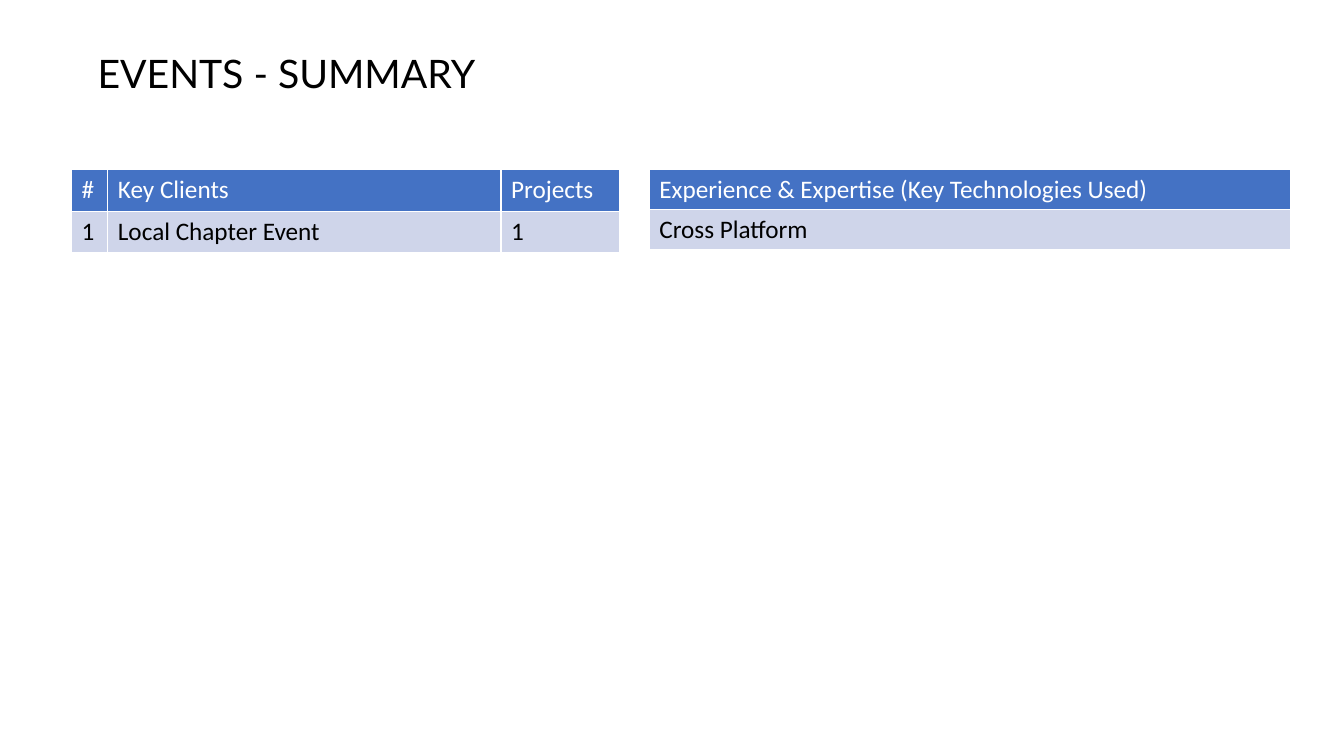
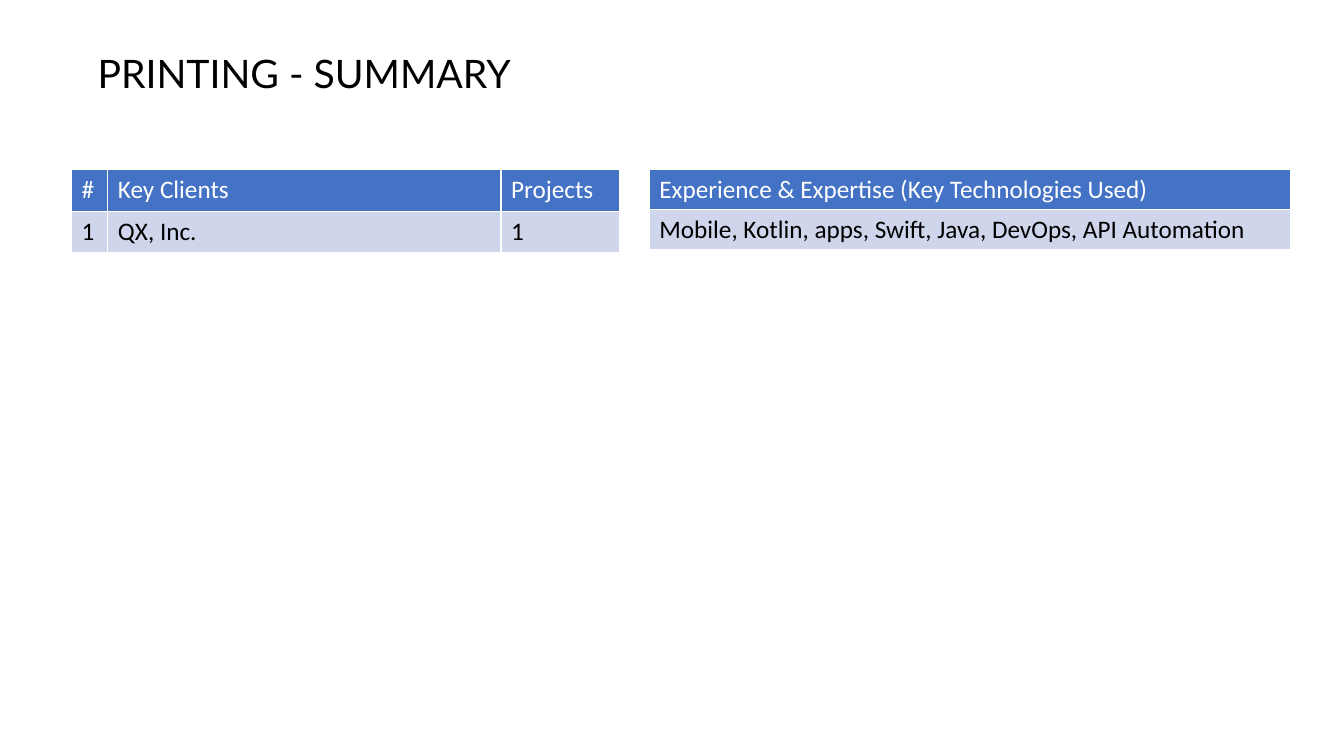
"""Build two summary slides, each with a client table and an expertise table."""
from lxml.etree import SubElement
from pptx import Presentation
from pptx.dml.color import RGBColor
from pptx.enum.text import MSO_ANCHOR
from pptx.oxml.ns import qn
from pptx.util import Inches, Pt

COLORS = {"header": "4472C4", "body": "CFD5EA", "white": "FFFFFF", "black": "000000"}
CLIENT_HEAD = ["#", "Key Clients", "Projects"]
EXPERTISE_HEAD = ["Experience & Expertise (Key Technologies Used)"]
SLIDES = [
    ("EVENTS - SUMMARY", ["1", "Local Chapter Event", "1"], ["Cross Platform"]),
    ("PRINTING - SUMMARY", ["1", "QX, Inc.", "1"],
     ["Mobile, Kotlin, apps, Swift, Java, DevOps, API Automation"]),
]


def add_run(p, text, font, size, color):
    r = p.add_run()
    r.text = text
    r.font.name = font
    r.font.size = Pt(size)
    r.font.bold = False
    r.font.color.rgb = RGBColor.from_string(COLORS[color])


def add_grid(s, left, widths, heights, rows):
    table = s.shapes.add_table(len(rows), len(widths), Inches(left), Inches(1.68),
                               Inches(sum(widths)), Inches(sum(heights))).table
    for col, width in zip(table.columns, widths):
        col.width = Inches(width)
    for i, (height, texts) in enumerate(zip(heights, rows)):
        table.rows[i].height = Inches(height)
        fill, color = ("body", "black") if i else ("header", "white")
        for j, text in enumerate(texts):
            cell = table.cell(i, j)
            tcPr = cell._tc.get_or_add_tcPr()
            for side in ("a:lnL", "a:lnR", "a:lnT", "a:lnB"):
                ln = SubElement(tcPr, qn(side), w=str(Pt(1)))
                solid = SubElement(ln, qn("a:solidFill"))
                SubElement(solid, qn("a:srgbClr"), val=COLORS["white"])
            cell.fill.solid()
            cell.fill.fore_color.rgb = RGBColor.from_string(COLORS[fill])
            add_run(cell.text_frame.paragraphs[0], text, "Calibri", 18, color)


prs = Presentation()
prs.slide_width = Inches(13.33)
prs.slide_height = Inches(7.5)

for title, client, expertise in SLIDES:
    s = prs.slides.add_slide(prs.slide_layouts[6])
    tf = s.shapes.add_textbox(Inches(0.87), Inches(0.28), Inches(12), Inches(0.94)).text_frame
    tf.word_wrap = True
    tf.vertical_anchor = MSO_ANCHOR.MIDDLE
    p = tf.paragraphs[0]
    p.line_spacing = 0.9
    add_run(p, title, "Lato", 28, "black")
    add_grid(s, 0.71, [0.36, 3.9, 1.18], [0.42, 0.41], [CLIENT_HEAD, client])
    add_grid(s, 6.44, [6.36], [0.4, 0.4], [EXPERTISE_HEAD, expertise])

prs.save("out.pptx")
